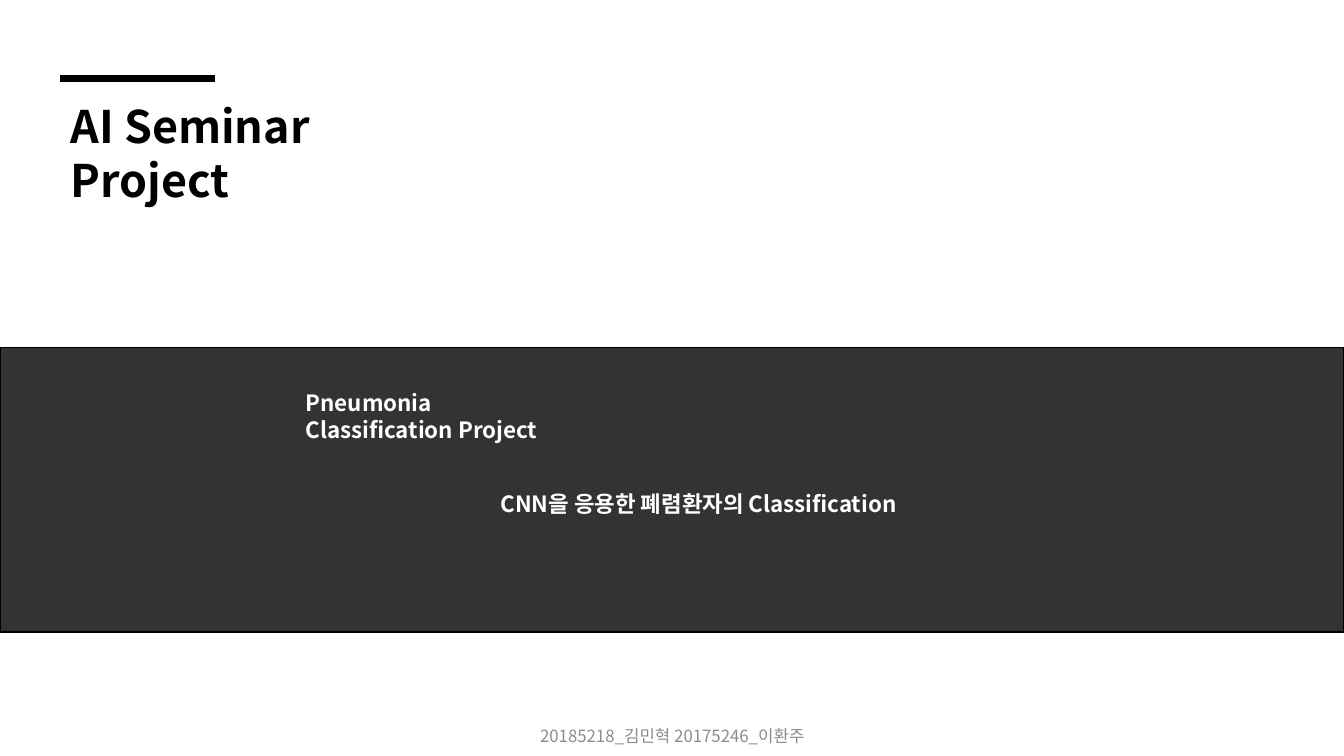
from dataclasses import dataclass

from lxml import etree
from pptx import Presentation
from pptx.dml.color import RGBColor
from pptx.enum.shapes import MSO_CONNECTOR, MSO_SHAPE
from pptx.enum.text import MSO_ANCHOR, MSO_AUTO_SIZE, PP_ALIGN
from pptx.oxml.ns import qn
from pptx.slide import Slide
from pptx.util import Inches, Pt

STRAIGHT = MSO_CONNECTOR.STRAIGHT
RECTANGLE = MSO_SHAPE.RECTANGLE
TOP, MIDDLE = MSO_ANCHOR.TOP, MSO_ANCHOR.MIDDLE
LEFT, CENTER = PP_ALIGN.LEFT, PP_ALIGN.CENTER
FIT_SHAPE, NO_FIT = MSO_AUTO_SIZE.SHAPE_TO_FIT_TEXT, MSO_AUTO_SIZE.NONE

SLIDE_W = Inches(13.33)
SLIDE_H = Inches(7.5)


@dataclass(frozen=True)
class Theme:
    font: str = "Noto Sans CJK KR"
    ink: str = "000000"
    paper: str = "FFFFFF"
    muted: str = "8C8C8C"
    band_opacity: int = 80
    title_size: int = 32
    body_size: int = 16
    footer_size: int = 12
    accent_width: int = 5
    border_width: int = 1


@dataclass(frozen=True)
class Area:
    x: float
    y: float
    w: float
    h: float

    def emu(self) -> tuple[int, int, int, int]:
        return across(self.x), down(self.y), across(self.w), down(self.h)


@dataclass(frozen=True)
class Label:
    area: Area
    lines: tuple[str, ...]
    size: int
    color: str
    bold: bool = True
    align: PP_ALIGN = LEFT
    anchor: MSO_ANCHOR = TOP
    fit: MSO_AUTO_SIZE = FIT_SHAPE


THEME = Theme()
ACCENT = Area(4.5, 10.4, 11.5, 0)
BAND = Area(0, 46, 100, 37.6)
LABELS = (
    Label(Area(4.5, 12.4, 35, 15.73), ("AI Seminar", "Project"),
          THEME.title_size, THEME.ink),
    Label(Area(22, 50.8, 28.35, 8.53), ("Pneumonia", "Classification Project"),
          THEME.body_size, THEME.paper),
    Label(Area(36.5, 64.13, 32.4, 4.93), ("CNN을 응용한 폐렴환자의 Classification",),
          THEME.body_size, THEME.paper),
    Label(Area(33.15, 94.67, 33.75, 5.33), ("20185218_김민혁 20175246_이환주",),
          THEME.footer_size, THEME.muted, False, CENTER, MIDDLE, NO_FIT),
)


def across(percent: float) -> int:
    return round(SLIDE_W * percent / 100)


def down(percent: float) -> int:
    return round(SLIDE_H * percent / 100)


def rgb(color: str) -> RGBColor:
    return RGBColor.from_string(color)


def draw_accent(slide: Slide, area: Area) -> None:
    x, y, w, h = area.emu()
    line = slide.shapes.add_connector(STRAIGHT, x, y, x + w, y + h)
    line.line.color.rgb = rgb(THEME.ink)
    line.line.width = Pt(THEME.accent_width)
    etree.SubElement(line._element.spPr, qn("a:effectLst"))


def draw_band(slide: Slide, area: Area) -> None:
    sp = slide.shapes.add_shape(RECTANGLE, *area.emu())
    sp.shadow.inherit = False
    sp.fill.solid()
    sp.fill.fore_color.rgb = rgb(THEME.ink)
    color = sp._element.spPr.find(qn("a:solidFill")).find(qn("a:srgbClr"))
    etree.SubElement(color, qn("a:alpha"), val=str(THEME.band_opacity * 1000))
    sp.line.color.rgb = rgb(THEME.ink)
    sp.line.width = Pt(THEME.border_width)


def draw_label(slide: Slide, label: Label) -> None:
    tf = slide.shapes.add_textbox(*label.area.emu()).text_frame
    tf.word_wrap = True
    tf.auto_size = label.fit
    tf.vertical_anchor = label.anchor
    for i, text in enumerate(label.lines):
        p = tf.add_paragraph() if i else tf.paragraphs[0]
        p.alignment = label.align
        r = p.add_run()
        r.text = text
        r.font.name = THEME.font
        r.font.size = Pt(label.size)
        r.font.bold = label.bold
        r.font.color.rgb = rgb(label.color)
        etree.SubElement(r._r.get_or_add_rPr(), qn("a:ea"), typeface=THEME.font)


def main() -> None:
    prs = Presentation()
    prs.slide_width, prs.slide_height = SLIDE_W, SLIDE_H
    slide = prs.slides.add_slide(prs.slide_layouts[6])
    draw_accent(slide, ACCENT)
    draw_band(slide, BAND)
    for label in LABELS:
        draw_label(slide, label)
    prs.save("out.pptx")


if __name__ == "__main__":
    main()
